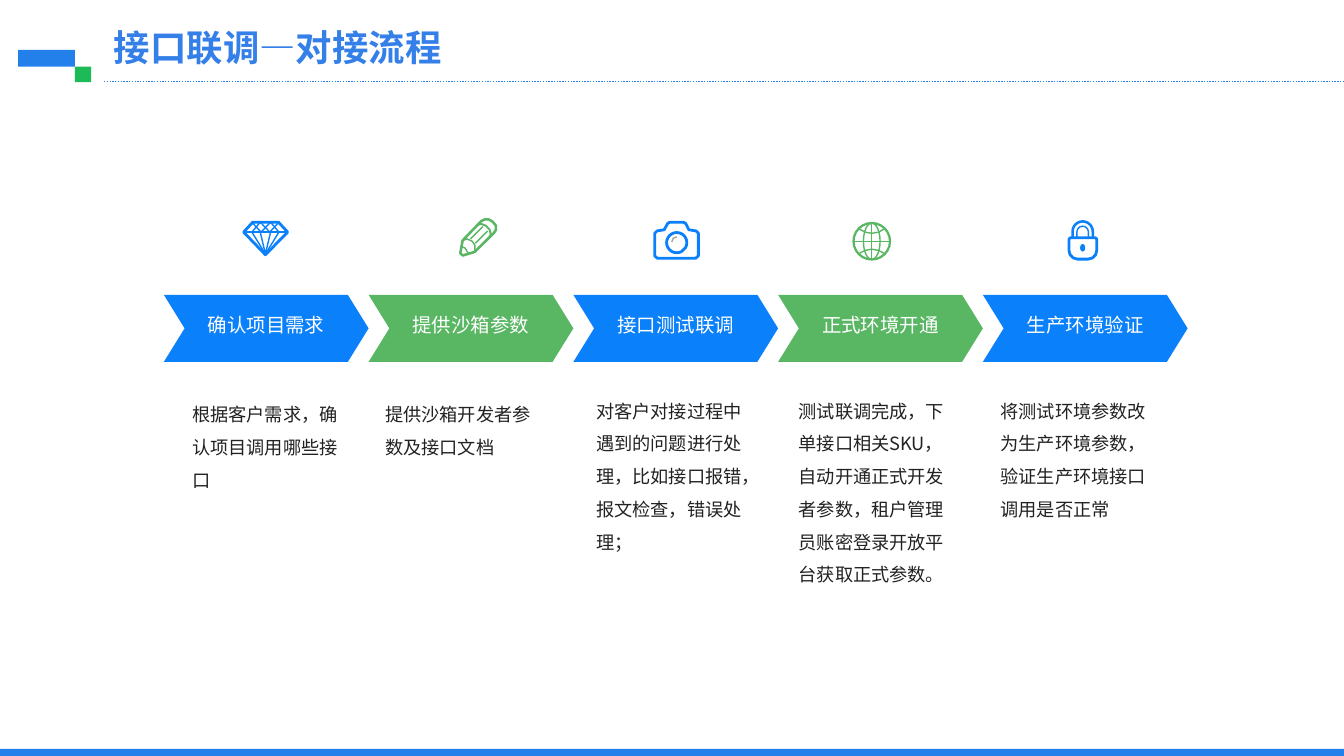
import pptx
import pptx.util
import pptx.dml.color
import pptx.enum.dml
import pptx.enum.shapes
import pptx.enum.text
import pptx.oxml.ns
from lxml import etree

Cm = pptx.util.Cm
Pt = pptx.util.Pt
RGBColor = pptx.dml.color.RGBColor
MSO_SHAPE = pptx.enum.shapes.MSO_SHAPE
qn = pptx.oxml.ns.qn

BAR_BLUE = RGBColor(0x23, 0x7F, 0xE9)
BAR_GREEN = RGBColor(0x1D, 0xBA, 0x58)
TITLE_BLUE = RGBColor(0x35, 0x7F, 0xE9)
BLUE = RGBColor(0x0A, 0x80, 0xFB)
GREEN = RGBColor(0x59, 0xB6, 0x63)
GRAY = RGBColor(0xA5, 0xA5, 0xA5)
WHITE = RGBColor(0xFF, 0xFF, 0xFF)
INK = RGBColor(0x22, 0x22, 0x22)
FONT = "Noto Sans CJK SC"

presentation = pptx.Presentation()
presentation.slide_width = Cm(33.87)
presentation.slide_height = Cm(19.05)
slide = presentation.slides.add_slide(presentation.slide_layouts[6])
shapes = slide.shapes


def style(shape, fill=None, line=None, width=1):
    shape.shadow.inherit = False
    if fill is None:
        shape.fill.background()
    else:
        shape.fill.solid()
        shape.fill.fore_color.rgb = fill
    if line is None:
        shape.line.fill.background()
    else:
        shape.line.color.rgb = line
        shape.line.width = Pt(width)


def write(shape, text, size, color, insets, bold=False):
    frame = shape.text_frame
    frame.word_wrap = True
    (frame.margin_left, frame.margin_top,
     frame.margin_right, frame.margin_bottom) = [Cm(inset) for inset in insets]
    run = frame.paragraphs[0].add_run()
    run.text = text
    run.font.size = Pt(size)
    run.font.bold = bold
    run.font.name = FONT
    run.font.color.rgb = color
    east_asian = etree.SubElement(run.font._element, qn("a:ea"))
    east_asian.set("typeface", FONT)
    return frame


# Header and footer bars
for left, top, width, height, color in [
    (0, 18.87, 33.87, 0.18, BAR_BLUE),
    (0.46, 1.26, 1.43, 0.42, BAR_BLUE),
    (1.89, 1.68, 0.41, 0.39, BAR_GREEN),
]:
    bar = shapes.add_shape(MSO_SHAPE.RECTANGLE, Cm(left), Cm(top), Cm(width), Cm(height))
    style(bar, color)

rule = shapes.add_connector(pptx.enum.shapes.MSO_CONNECTOR.STRAIGHT,
                            Cm(2.62), Cm(2.06), Cm(33.87), Cm(2.06))
rule.line.color.rgb = BAR_BLUE
rule.line.width = Pt(1)
rule.line.dash_style = pptx.enum.dml.MSO_LINE.ROUND_DOT
etree.SubElement(rule._element.spPr, qn("a:effectLst"))

# Title
title = shapes.add_textbox(Cm(2.62), Cm(0.5), Cm(23.04), Cm(1.37))
write(title, "接口联调—对接流程", 26, TITLE_BLUE, (0.25, 0.13, 0.25, 0.13), bold=True)

# Steps: heading, description, left and top of the description, its height
steps = [
    ("确认项目需求", "根据客户需求，确认项目调用哪些接口", 4.47, 9.7, 2.87),
    ("提供沙箱参数", "提供沙箱开发者参数及接口文档", 9.33, 9.7, 2.06),
    ("接口测试联调", "对客户对接过程中遇到的问题进行处理，比如接口报错，报文检查，错误处理；",
     14.65, 9.6, 4.55),
    ("正式环境开通", "测试联调完成，下单接口相关SKU，自动开通正式开发者参数，"
     "租户管理员账密登录开放平台获取正式参数。", 19.75, 9.6, 5.38),
    ("生产环境验证", "将测试环境参数改为生产环境参数，验证生产环境接口调用是否正常",
     24.84, 9.6, 3.71),
]
for index, (heading, description, left, top, height) in enumerate(steps):
    chevron = shapes.add_shape(MSO_SHAPE.CHEVRON, Cm(4.13 + 5.16 * index), Cm(7.43),
                               Cm(5.16), Cm(1.69))
    chevron.adjustments[0] = 0.31
    style(chevron, GREEN if index % 2 else BLUE)
    frame = write(chevron, heading, 13.9, WHITE, (0.5, 0.25, 0.5, 0.63))
    frame.vertical_anchor = pptx.enum.text.MSO_ANCHOR.BOTTOM
    frame.paragraphs[0].alignment = pptx.enum.text.PP_ALIGN.CENTER

    box = shapes.add_textbox(Cm(left), Cm(top), Cm(4.45), Cm(height))
    frame = write(box, description, 13, INK, (0.38, 0.2, 0.38, 0.2))
    frame.auto_size = pptx.enum.text.MSO_AUTO_SIZE.SHAPE_TO_FIT_TEXT
    frame.paragraphs[0].line_spacing = 1.5

# Round icon parts: preset, left, top, width, height, fill, line, line width, adjustments
icon_shapes = [
    # Camera lens
    (MSO_SHAPE.OVAL, 16.8, 5.86, 0.51, 0.51, None, BLUE, 2, ()),
    # Globe and its meridian
    (MSO_SHAPE.OVAL, 21.51, 5.62, 0.92, 0.92, None, GREEN, 1.6, ()),
    (MSO_SHAPE.OVAL, 21.76, 5.62, 0.42, 0.92, None, GREEN, 1, ()),
    # Lock: shackle, body, keyhole
    (MSO_SHAPE.ROUND_2_SAME_RECTANGLE, 27.03, 5.58, 0.51, 0.6, None, BLUE, 1.8, (0.5, 0)),
    (MSO_SHAPE.ROUND_2_SAME_RECTANGLE, 27.14, 5.7, 0.29, 0.5, None, BLUE, 1, (0.5, 0)),
    (MSO_SHAPE.ROUND_2_SAME_RECTANGLE, 26.94, 5.99, 0.7, 0.54, WHITE, BLUE, 2, (0.1, 0.4)),
    (MSO_SHAPE.OVAL, 27.22, 6.15, 0.13, 0.19, BLUE, None, 1, ()),
]
for preset, left, top, width, height, fill, line, weight, adjustments in icon_shapes:
    part = shapes.add_shape(preset, Cm(left), Cm(top), Cm(width), Cm(height))
    for index, value in enumerate(adjustments):
        part.adjustments[index] = value
    style(part, fill, line, weight)

# Drawn icon parts: colour, line width, closed, points
icon_outlines = [
    # Diamond: edge, girdle, facets
    (BLUE, 2, True, [(6.14, 5.85), (6.37, 5.6), (7.02, 5.6), (7.25, 5.85), (6.69, 6.42)]),
    (BLUE, 1, False, [(6.14, 5.85), (7.25, 5.85)]),
    (BLUE, 1, False, [(6.35, 5.6), (6.58, 5.85), (6.82, 5.6), (7.03, 5.85)]),
    (BLUE, 1, False, [(7.03, 5.6), (6.8, 5.85), (6.56, 5.6), (6.35, 5.85)]),
    (BLUE, 1, False, [(6.35, 5.85), (6.69, 6.4), (7.03, 5.85)]),
    (BLUE, 1, False, [(6.56, 5.85), (6.69, 6.4), (6.82, 5.85)]),
    # Pencil: edge, eraser band, cone, ridges, tip
    (GREEN, 1.8, True, [(11.6, 6.38), (11.66, 6.06), (12.13, 5.57), (12.22, 5.53),
                        (12.32, 5.53), (12.42, 5.59), (12.5, 5.69), (12.5, 5.79),
                        (12.45, 5.87), (11.96, 6.35), (11.66, 6.44)]),
    (GREEN, 1.4, False, [(12.02, 5.68), (12.12, 5.64), (12.25, 5.69), (12.34, 5.79),
                         (12.37, 5.9), (12.32, 6)]),
    (GREEN, 1, False, [(11.66, 6.06), (11.77, 6.02), (11.9, 6.08), (11.97, 6.18),
                       (11.97, 6.33)]),
    (GREEN, 1, False, [(11.86, 6.02), (12.17, 5.71)]),
    (GREEN, 1, False, [(11.98, 6.13), (12.29, 5.82)]),
    (GREEN, 1, False, [(11.62, 6.21), (11.72, 6.25), (11.8, 6.38)]),
    # Camera body and lens glint
    (BLUE, 2, True, [(16.5, 6.45), (16.5, 5.88), (16.56, 5.82), (16.74, 5.79),
                     (16.83, 5.63), (16.88, 5.6), (17.22, 5.6), (17.28, 5.63),
                     (17.36, 5.79), (17.54, 5.82), (17.6, 5.88), (17.6, 6.45),
                     (17.53, 6.51), (16.57, 6.51)]),
    (GRAY, 1, False, [(16.93, 6.1), (16.97, 6), (17.06, 5.97)]),
    # Globe axis, equator and parallels
    (GREEN, 1, False, [(21.97, 5.62), (21.97, 6.54)]),
    (GREEN, 1, False, [(21.51, 6.08), (22.43, 6.08)]),
    (GREEN, 1, False, [(21.65, 5.77), (21.8, 5.85), (21.97, 5.88), (22.14, 5.85), (22.29, 5.77)]),
    (GREEN, 1, False, [(21.65, 6.39), (21.8, 6.31), (21.97, 6.28), (22.14, 6.31), (22.29, 6.39)]),
]
for color, weight, closed, points in icon_outlines:
    corners = [(Cm(x), Cm(y)) for x, y in points]
    builder = shapes.build_freeform(*corners[0])
    builder.add_line_segments(corners[1:], close=closed)
    style(builder.convert_to_shape(), None, color, weight)

presentation.save("out.pptx")
